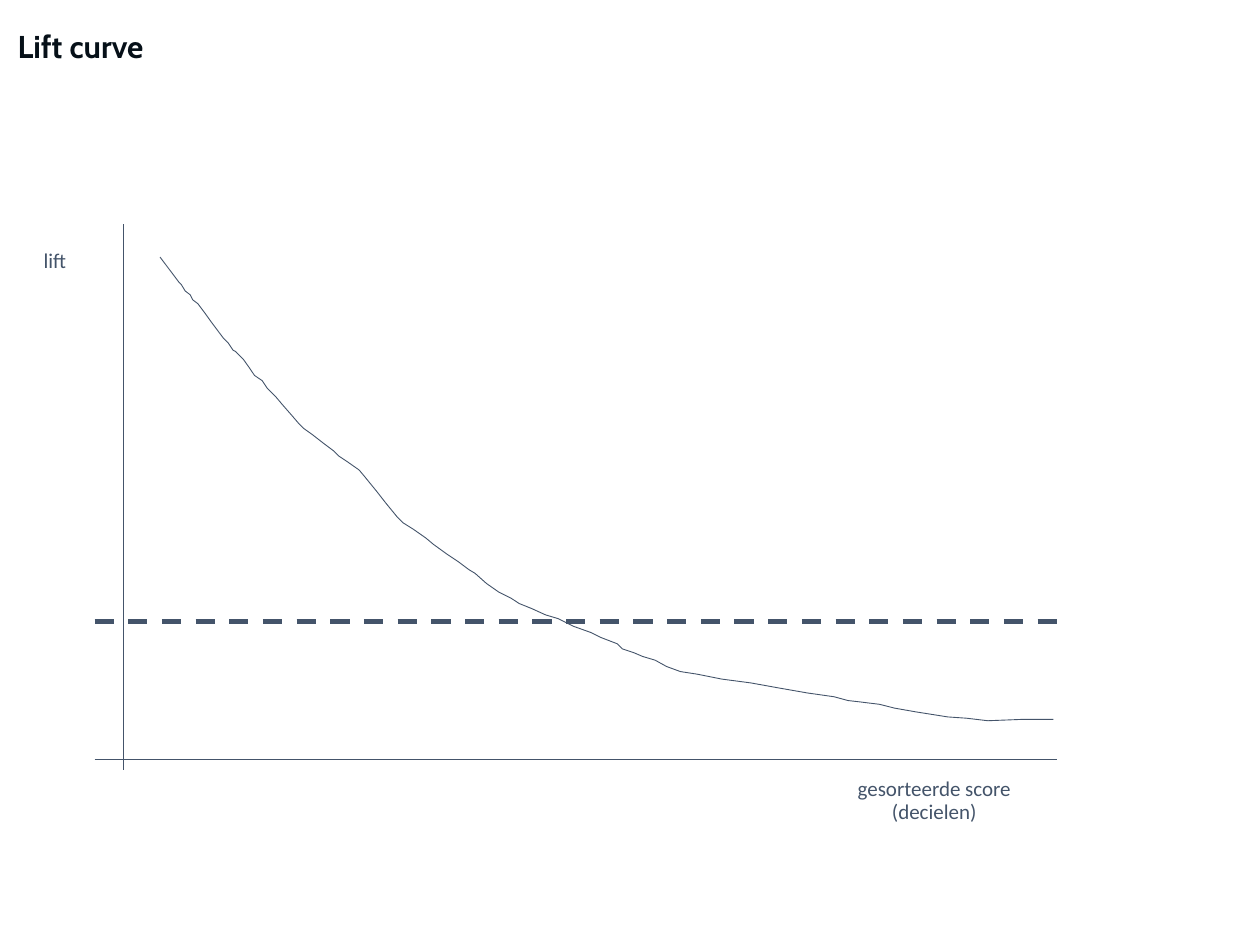
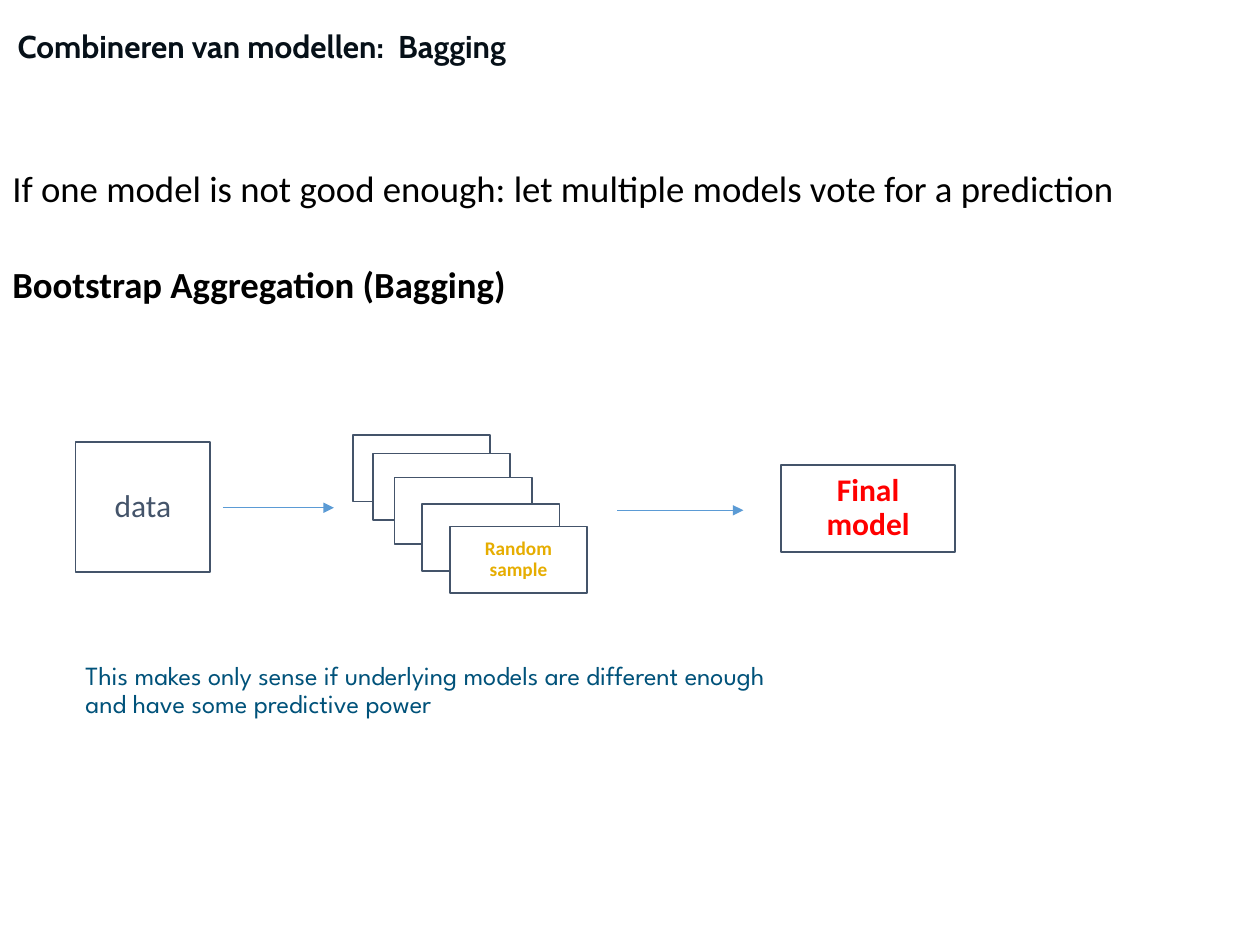
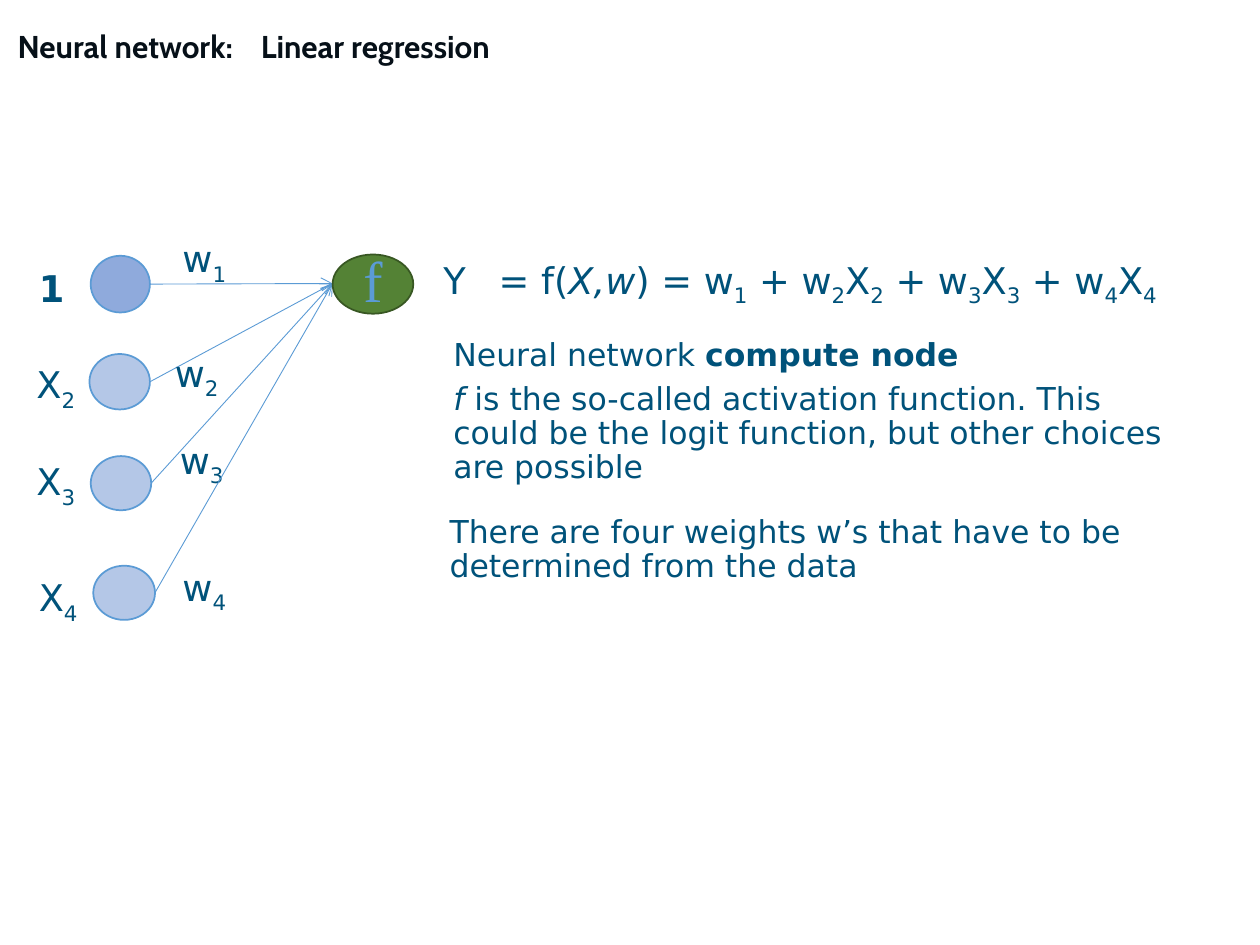
from lxml.etree import SubElement
from pptx import Presentation
from pptx.dml.color import RGBColor
from pptx.enum.dml import MSO_LINE
from pptx.enum.shapes import MSO_CONNECTOR, MSO_SHAPE
from pptx.enum.text import MSO_ANCHOR, PP_ALIGN
from pptx.oxml.ns import qn
from pptx.util import Inches, Pt

# Colours
INK = RGBColor(0x06, 0x10, 0x18)
BLACK = RGBColor(0, 0, 0)
WHITE = RGBColor(255, 255, 255)
SLATE = RGBColor(0x44, 0x54, 0x6A)
TEAL = RGBColor(0x00, 0x52, 0x7A)
BLUE = RGBColor(0x5B, 0x9B, 0xD5)
BIAS_BLUE = RGBColor(0x8F, 0xAA, 0xDC)
INPUT_BLUE = RGBColor(0xB4, 0xC7, 0xE7)
GREEN = RGBColor(0x54, 0x82, 0x35)
DARK_GREEN = RGBColor(0x38, 0x57, 0x23)
GOLD = RGBColor(0xE6, 0xAD, 0x00)
RED = RGBColor(255, 0, 0)

# Text formats
TITLE = dict(name="Cabin", size=Pt(18), color=INK, bold=True)
AXIS = dict(name="Calibri", size=Pt(12), color=SLATE)
BODY = dict(name="Calibri", size=Pt(21), color=BLACK)
DATA = dict(name="Calibri", size=Pt(18), color=SLATE)
SAMPLE = dict(name="Calibri", size=Pt(11), color=GOLD, bold=True)
FINAL = dict(name="Calibri", size=Pt(18), color=RED, bold=True)
REMARK = dict(name="League Spartan", size=Pt(15), color=TEAL)
MATH = dict(name="DejaVu Sans", size=Pt(21), color=TEAL)
NOTE = dict(MATH, size=Pt(18))
NODE = dict(name="Times New Roman", size=Pt(33), color=BLUE)

# Lift curve, in hundredths of an inch from the corner of the plot
LIFT = [
    (52, 26), (67, 46), (69, 48), (72, 53), (76, 56), (78, 60), (82, 63), (88, 71),
    (93, 78), (99, 86), (102, 90), (106, 94), (110, 100), (112, 101), (118, 107),
    (123, 114), (127, 120), (133, 124), (137, 130), (144, 137), (149, 143),
    (156, 151), (162, 158), (166, 162), (173, 167), (182, 174), (190, 180),
    (194, 184), (200, 188), (210, 195), (215, 201), (224, 212), (231, 221),
    (240, 232), (245, 237), (253, 242), (263, 249), (269, 254), (280, 262),
    (289, 268), (297, 274), (302, 277), (311, 285), (321, 292), (331, 297),
    (337, 301), (347, 305), (358, 310), (368, 313), (380, 319), (394, 324),
    (402, 328), (415, 333), (419, 337), (428, 340), (435, 343), (445, 346),
    (454, 351), (465, 355), (478, 357), (498, 361), (521, 364), (543, 368),
    (566, 372), (587, 375), (598, 378), (607, 379), (623, 381), (635, 384),
    (652, 387), (671, 390), (677, 391), (692, 392), (709, 394), (735, 393),
    (761, 393),
]


def write(tf, paragraphs, fmt, align=PP_ALIGN.LEFT, before=0, tab=None):
    """Fill a frame; a paragraph is a string or a list of (text, mark) runs."""
    tf.word_wrap = True
    for i, runs in enumerate(paragraphs):
        p = tf.add_paragraph() if i else tf.paragraphs[0]
        p.alignment, p.line_spacing = align, 0.9
        p.space_before = Pt(before if i else 0)
        if tab:
            tabs = SubElement(p._p.get_or_add_pPr(), qn("a:tabLst"))
            SubElement(tabs, qn("a:tab"), pos=str(Inches(tab)), algn="l")
        for text, mark in [(runs, "")] if isinstance(runs, str) else runs:
            r = p.add_run()
            r.text = text
            for key, value in fmt.items():
                if key == "color":
                    r.font.color.rgb = value
                else:
                    setattr(r.font, key, value)
            if mark == "sub":
                r._r.get_or_add_rPr().set("baseline", "-25000")
            elif mark:
                setattr(r.font, mark, True)


def add_text(s, x, y, w, h, paragraphs, fmt, **layout):
    box = s.shapes.add_textbox(Inches(x), Inches(y), Inches(w), Inches(h))
    write(box.text_frame, paragraphs, fmt, **layout)


def add_box(s, x, y, w, h, kind=MSO_SHAPE.RECTANGLE, fill=WHITE, line=SLATE,
            text=None, fmt=None):
    sp = s.shapes.add_shape(kind, Inches(x), Inches(y), Inches(w), Inches(h))
    sp.shadow.inherit = False
    sp.fill.solid()
    sp.fill.fore_color.rgb = fill
    sp.line.color.rgb, sp.line.width = line, Pt(1)
    if text:
        sp.text_frame.vertical_anchor = MSO_ANCHOR.MIDDLE
        write(sp.text_frame, [text], fmt, align=PP_ALIGN.CENTER)
    return sp


def add_line(s, x1, y1, x2, y2, color=BLUE, width=0.5, dash=None, head=None):
    c = s.shapes.add_connector(MSO_CONNECTOR.STRAIGHT, Inches(x1), Inches(y1),
                               Inches(x2), Inches(y2))
    c.line.color.rgb, c.line.width = color, Pt(width)
    if dash:
        c.line.dash_style = dash
    if head:
        SubElement(c.line._get_or_add_ln(), qn("a:tailEnd"), type=head)
    SubElement(c._element.spPr, qn("a:effectLst"))


def add_slide(prs, title, tab=None):
    s = prs.slides.add_slide(prs.slide_layouts[5])
    sp = s.shapes.title
    sp.left, sp.top, sp.width, sp.height = map(Inches, (0.04, 0.05, 7.97, 0.67))
    sp.text_frame.vertical_anchor = MSO_ANCHOR.MIDDLE
    write(sp.text_frame, [title], TITLE, tab=tab)
    return s


def lift_plot(s, x, y, w, h):
    # Axes and the dashed baseline
    add_line(s, x + 0.23, y, x + 0.23, y + h, SLATE, 0.75)
    add_line(s, x, y + h - 0.08, x + w, y + h - 0.08, SLATE, 0.75)
    add_line(s, x, y + 3.15, x + w, y + 3.15, SLATE, 2.75, MSO_LINE.DASH)
    # Curve
    fb = s.shapes.build_freeform(*LIFT[0], scale=Inches(0.01))
    fb.add_line_segments(LIFT[1:], close=False)
    sp = fb.convert_to_shape(Inches(x), Inches(y))
    sp.shadow.inherit = False
    sp.fill.background()
    sp.line.color.rgb, sp.line.width = SLATE, Pt(0.5)
    # Axis labels
    add_text(s, x - 0.71, y + 0.16, 0.79, 0.28, ["lift"], AXIS, align=PP_ALIGN.CENTER)
    add_text(s, x + w - 1.92, y + h + 0.02, 1.89, 0.46,
             ["gesorteerde score", "(decielen)"], AXIS, align=PP_ALIGN.CENTER)


def bagging_flow(s, x, y):
    add_box(s, x, y + 0.06, 1.07, 1.03, text="data", fmt=DATA)
    add_line(s, x + 1.17, y + 0.58, x + 2.05, y + 0.58, head="triangle")
    # Stack of samples, the front one named
    stack = [(2.2, 0), (2.36, 0.15), (2.53, 0.34), (2.75, 0.55), (2.97, 0.73)]
    for dx, dy in stack:
        text = "Random sample" if (dx, dy) == stack[-1] else None
        add_box(s, x + dx, y + dy, 1.09, 0.53, text=text, fmt=SAMPLE)
    add_line(s, x + 4.3, y + 0.6, x + 5.3, y + 0.6, head="triangle")
    add_box(s, x + 5.6, y + 0.24, 1.38, 0.69, text="Final model", fmt=FINAL)


def network(s, x, y):
    # Node left, top, width, height; label and weight positions
    inputs = [
        ((0.53, 0.2, 0.47, 0.45), (0.02, 0.27), (1.16, 0)),
        ((0.52, 0.98, 0.48, 0.44), (0, 1), (1.1, 0.91)),
        ((0.53, 1.79, 0.48, 0.43), (0, 1.77), (1.14, 1.6)),
        ((0.55, 2.66, 0.49, 0.43), (0.02, 2.69), (1.16, 2.61)),
    ]
    out_x, out_y = x + 2.45, y + 0.42
    for n, ((dx, dy, w, h), label, weight) in enumerate(inputs, 1):
        add_box(s, x + dx, y + dy, w, h, MSO_SHAPE.OVAL,
                BIAS_BLUE if n == 1 else INPUT_BLUE, BLUE)
        add_line(s, x + dx + w, y + dy + h / 2, out_x, out_y, head="arrow")
        name = [("1", "bold")] if n == 1 else indexed("X", n)
        for (tx, ty), runs in ((label, name), (weight, indexed("w", n))):
            add_text(s, x + tx, y + ty, 0.57, 0.42, [runs], MATH)
    # Compute node
    sp = add_box(s, out_x, out_y - 0.23, 0.64, 0.47, MSO_SHAPE.OVAL, GREEN,
                 DARK_GREEN, "f", NODE)
    tf = sp.text_frame
    tf.margin_left = tf.margin_right = Inches(0.07)
    tf.margin_top = tf.margin_bottom = Inches(0.04)


def indexed(letter, n):
    return [(letter, ""), (str(n), "sub")]


def explanation(s, x, y):
    formula = [("Y\t= f(", ""), ("X,w", "italic"), (") = ", "")] + indexed("w", 1)
    for n in range(2, 5):
        formula += indexed(" + w", n) + indexed("X", n)
    add_text(s, x, y, 6.3, 0.42, [formula], MATH, tab=0.44)
    add_text(s, x + 0.08, y + 0.64, 6.06, 1.28, [
        [("Neural network ", ""), ("compute node", "bold")],
        [("f", "italic"), (" is the so-called activation function. This could be "
                           "the logit function, but other choices are possible", "")],
    ], NOTE, before=6)
    add_text(s, x + 0.05, y + 2.05, 5.94, 0.65,
             ["There are four weights w’s that have to be determined from the data"],
             NOTE)


def main():
    prs = Presentation()
    prs.slide_width, prs.slide_height = Inches(10), Inches(7.5)

    s = add_slide(prs, "Lift curve")
    lift_plot(s, 0.75, 1.78, 7.64, 4.33)

    s = add_slide(prs, "Combineren van modellen:\tBagging", tab=3.02)
    add_text(s, 0, 1.31, 9, 1.48, [
        "If one model is not good enough: let multiple models vote for a prediction",
        [("Bootstrap Aggregation (Bagging)", "bold")],
    ], BODY, before=32)
    bagging_flow(s, 0.6, 3.45)
    add_text(s, 0.58, 5.21, 6.93, 0.56, [
        "This makes only sense if underlying models are different enough",
        "and have some predictive power"], REMARK)

    s = add_slide(prs, "Neural network:\tLinear regression", tab=1.93)
    network(s, 0.19, 1.83)
    explanation(s, 3.42, 2)

    prs.save("out.pptx")


if __name__ == "__main__":
    main()
